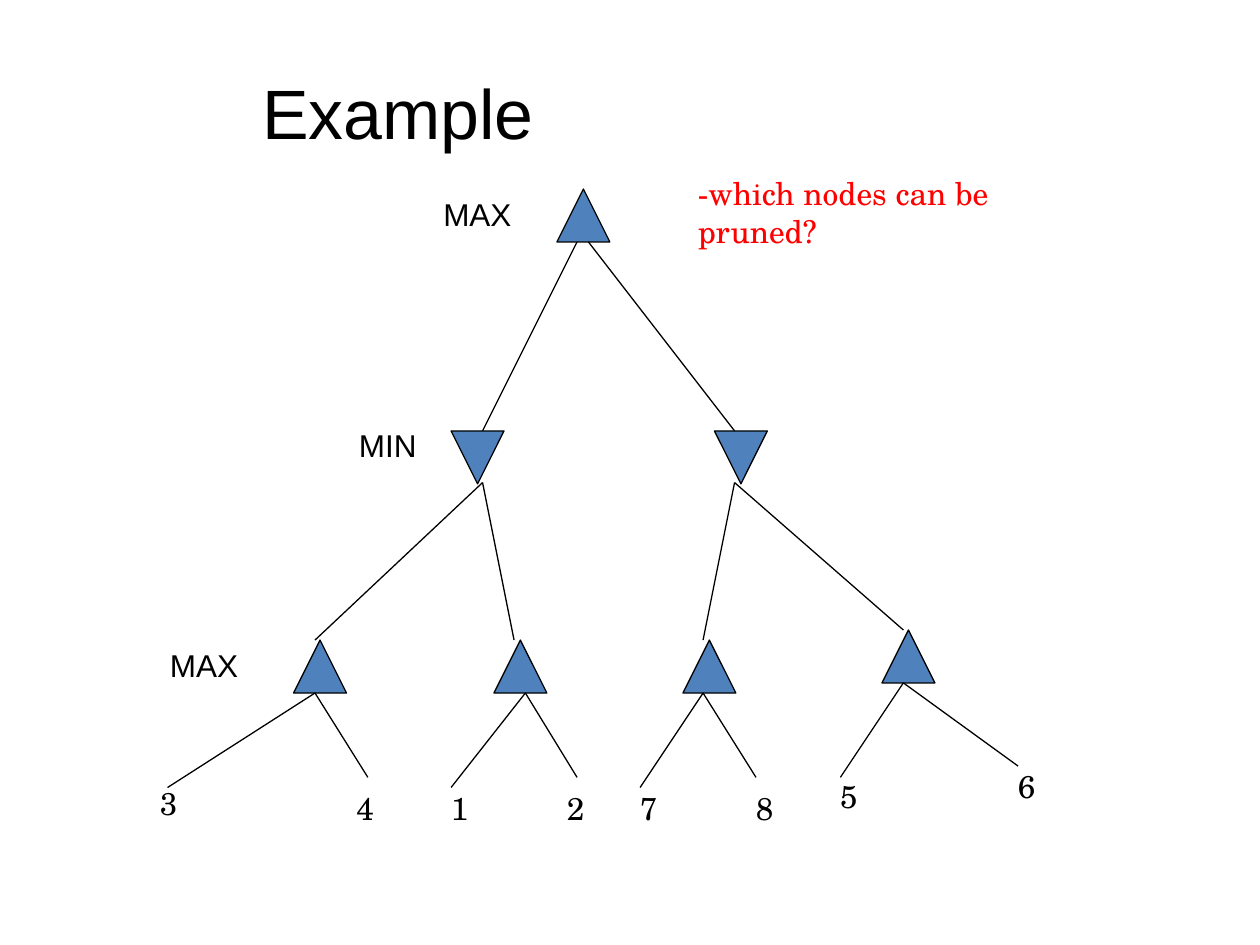
from lxml.etree import SubElement
from pptx import Presentation
from pptx.dml.color import RGBColor
from pptx.enum.shapes import MSO_CONNECTOR, MSO_SHAPE
from pptx.enum.text import MSO_ANCHOR, PP_ALIGN
from pptx.oxml.ns import qn
from pptx.util import Inches, Pt

COLORS = {"black": "000000", "node": "4F81BD", "question": "FF0000"}
SANS, SERIF = "Arial", "TeX Gyre Schola"
NODE = 0.42

MAX_NODES = [(3.42, 0), (1.33, 3.58), (2.92, 3.58), (4.42, 3.58), (6, 3.5)]
MIN_NODES = [(2.58, 1.92), (4.67, 1.92)]
BRANCHES = [
    ((3.58, 0.42), [(2.83, 1.92)]),
    ((3.67, 0.42), [(4.83, 1.92)]),
    ((2.83, 2.33), [(1.5, 3.58), (3.08, 3.58)]),
    ((4.83, 2.33), [(4.58, 3.58), (6.17, 3.5)]),
    ((1.5, 4), [(0.33, 4.75), (1.92, 4.67)]),
    ((3.17, 4), [(2.58, 4.75), (3.58, 4.67)]),
    ((4.58, 4), [(4.08, 4.75), (5, 4.67)]),
    ((6.17, 3.92), [(5.67, 4.67), (7.08, 4.58)]),
]
LEAVES = [
    ("3", 0.17, 4.67), ("4", 1.73, 4.71), ("1", 2.48, 4.71), ("2", 3.4, 4.71),
    ("7", 3.98, 4.71), ("8", 4.9, 4.71), ("5", 5.57, 4.62), ("6", 6.98, 4.54),
]
LEVELS = [("MAX", 2.42, 0, 0.83), ("MIN", 1.75, 1.83, 0.92), ("MAX", 0.25, 3.58, 0.83)]


def rgb(name):
    return RGBColor.from_string(COLORS[name])


def write(tf, text, font, size=18, color="black"):
    p = tf.paragraphs[0]
    r = p.add_run()
    r.text = text
    for name, value in {"name": font, "size": Pt(size)}.items():
        setattr(r.font, name, value)
    r.font.color.rgb = rgb(color)
    return p


def outline(line):
    line.color.rgb = rgb("black")
    line.width = Pt(0.75)


def add_text(s, box, text, font, color="black", wrap=True):
    tf = s.shapes.add_textbox(*map(Inches, box)).text_frame
    tf.word_wrap = wrap
    write(tf, text, font, color=color)


def add_node(s, x, y, rotation=0):
    sp = s.shapes.add_shape(MSO_SHAPE.ISOSCELES_TRIANGLE, *map(Inches, (x, y, NODE, NODE)))
    sp.rotation = rotation
    sp.shadow.inherit = False
    sp.fill.solid()
    sp.fill.fore_color.rgb = rgb("node")
    outline(sp.line)


def add_edge(s, start, end):
    line = s.shapes.add_connector(MSO_CONNECTOR.STRAIGHT, *map(Inches, (*start, *end)))
    outline(line.line)
    SubElement(line._element.spPr, qn("a:effectLst"))


def add_title(s, box):
    title = s.shapes.title
    for name, value in zip(("left", "top", "width", "height"), box):
        setattr(title, name, Inches(value))
    tf = title.text_frame
    frame = dict.fromkeys(("margin_left", "margin_top", "margin_right", "margin_bottom"), 0)
    frame["vertical_anchor"] = MSO_ANCHOR.MIDDLE
    for name, value in frame.items():
        setattr(tf, name, value)
    p = write(tf, "Example", SANS, 39.9)
    p.alignment = PP_ALIGN.LEFT
    p.line_spacing = 0.9


def add_tree(s, left, top):
    def at(x, y):
        return left + x, top + y

    for nodes, rotation in ((MAX_NODES, 0), (MIN_NODES, 180)):
        for node in nodes:
            add_node(s, *at(*node), rotation)
    for start, ends in BRANCHES:
        for end in ends:
            add_edge(s, at(*start), at(*end))
    for value, x, y in LEAVES:
        add_text(s, (*at(x, y), 0.34, 0.4), value, SERIF, wrap=False)
    for label, x, y, width in LEVELS:
        add_text(s, (*at(x, y), width, NODE), label, SANS)


def main():
    prs = Presentation()
    prs.slide_width, prs.slide_height = Inches(10), Inches(7.5)
    s = prs.slides.add_slide(prs.slide_layouts[5])
    add_title(s, (2.08, 0.3, 7.42, 1.25))
    add_tree(s, 1, 1.5)
    add_text(s, (5.44, 1.33, 3.48, 0.7), "-which nodes can be pruned?", SERIF, "question")
    prs.save("out.pptx")


if __name__ == "__main__":
    main()
